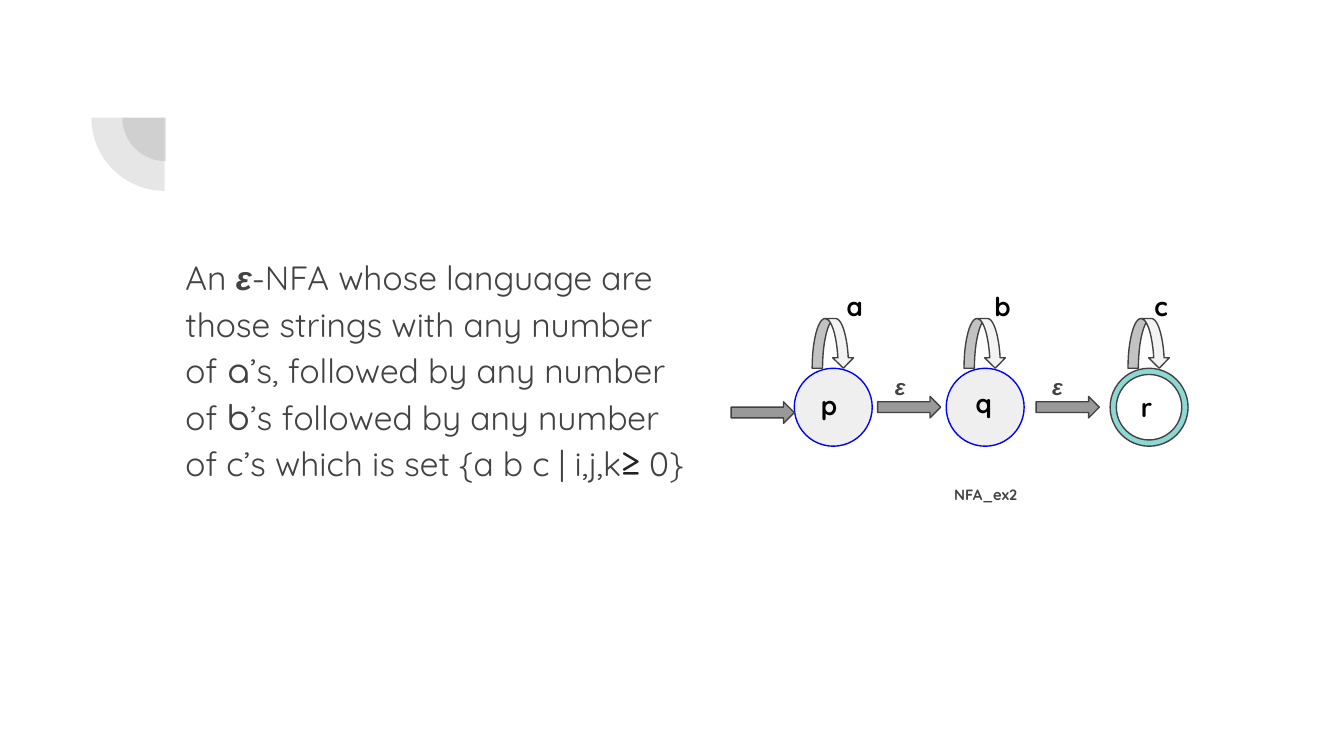
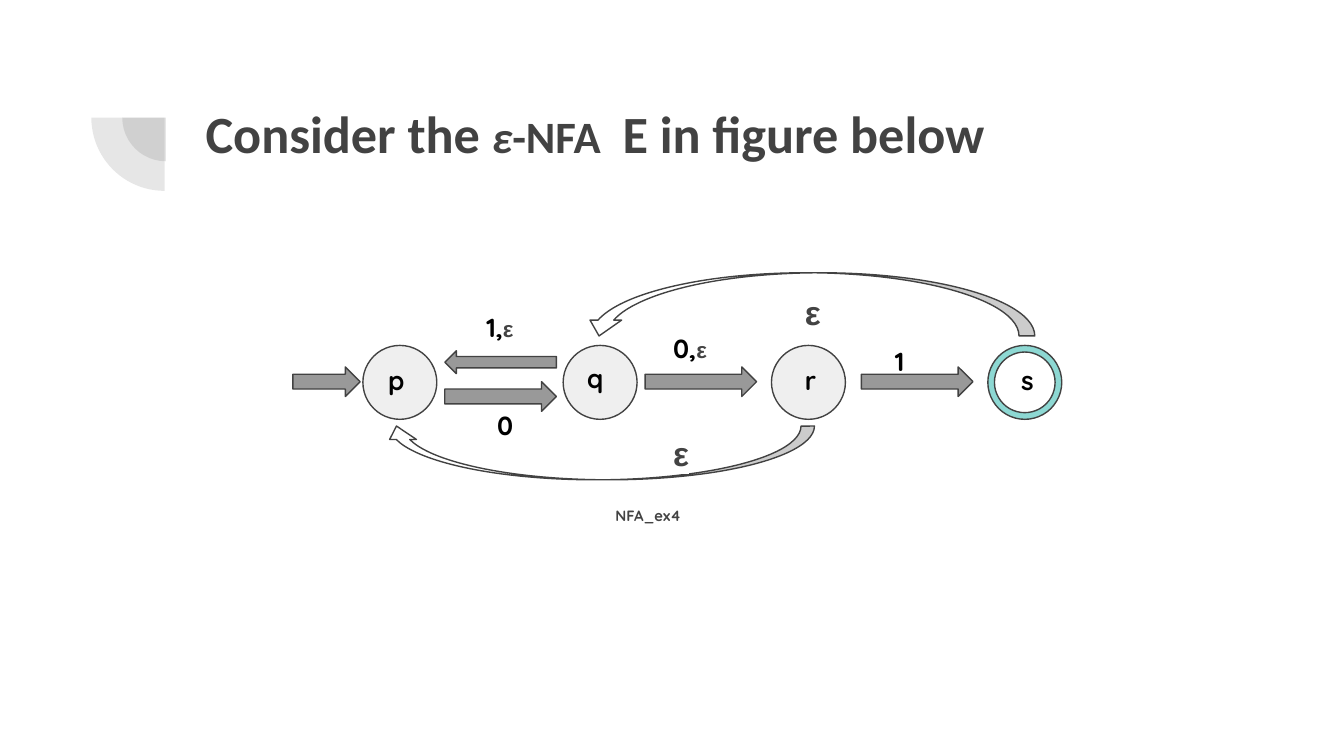
"""Two slides of epsilon-NFA state diagrams."""
from dataclasses import dataclass
from typing import NamedTuple

from lxml import etree
from pptx import Presentation, util as u
from pptx.dml.color import RGBColor
from pptx.enum import shapes as kinds, text as layout_text
from pptx.oxml.ns import qn

COLUMNS, ROWS = 100, 56.25
CELL = u.Inches(0.1)
SHAPE = kinds.MSO_SHAPE

INK, SOFT, BLACK, WHITE = "424242", "434343", "000000", "FFFFFF"
PALE, GREY, TEAL, BLUE = "EFEFEF", "999999", "8DD8D3", "0000FF"
LOOP_FILL = "F3F3F3"


class Area(NamedTuple):
    """Left, top, width and height in grid cells."""
    left: float
    top: float
    width: float
    height: float

    def emu(self) -> list[int]:
        return [round(CELL * side) for side in self]


@dataclass(frozen=True)
class Style:
    size: float
    name: str = "Quicksand"
    color: str = INK
    bold: bool = False
    italic: bool = False
    highlight: str = ""


class Span(NamedTuple):
    words: str
    style: Style


class State(NamedTuple):
    """A circle; shift is the offset of its letter box."""
    letter: str
    column: float
    shift: tuple[float, float]
    final: bool = False


class Arrow(NamedTuple):
    area: Area
    shape: kinds.MSO_SHAPE = SHAPE.RIGHT_ARROW
    fill: str = GREY
    turn: int = 0
    mirrored: bool = False


class Label(NamedTuple):
    area: Area
    spans: list[Span]
    spaced: bool = False


# Text styles
LETTER = Style(14, color=BLACK, bold=True)
CAPTION = Style(8, color=SOFT, bold=True)
EPSILON = Style(12, "Arial", SOFT, bold=True, highlight=WHITE)
EPSILON_ITALIC = Style(12, "Arial", SOFT, True, True, WHITE)
EPSILON_LARGE = Style(18, "Arial", SOFT, bold=True, highlight=WHITE)
BODY = Style(18)
BODY_ROUND = Style(18, "Comfortaa")
BODY_EPSILON = Style(18, "Arial", SOFT, True, True, WHITE)
BODY_SIGN = Style(18, "Comfortaa", "222222", highlight=WHITE)
TITLE = Style(28, "Calibri", bold=True)
TITLE_SMALL = Style(24, "Calibri", bold=True)
TITLE_EPSILON = Style(24, "Calibri", SOFT, True, True, WHITE)


def rgb(color: str) -> RGBColor:
    return RGBColor.from_string(color)


# Text
def add_span(para, span: Span) -> None:
    run = para.add_run()
    run.text = span.words
    style = span.style
    formats = {"size": u.Pt(style.size), "name": style.name,
               "bold": style.bold, "italic": style.italic}
    for key, value in formats.items():
        setattr(run.font, key, value)
    run.font.color.rgb = rgb(style.color)
    if style.highlight:
        mark = etree.Element(qn("a:highlight"))
        etree.SubElement(mark, qn("a:srgbClr"), val=style.highlight)
        run.font._element.find(qn("a:solidFill")).addnext(mark)


def fill_text(box, area: Area, spans: list[Span], spaced: bool = False) -> None:
    box.left, box.top, box.width, box.height = area.emu()
    frame = box.text_frame
    margin = u.Inches(0.1)
    formats = {"word_wrap": True, "auto_size": layout_text.MSO_AUTO_SIZE.NONE,
               "vertical_anchor": layout_text.MSO_ANCHOR.TOP,
               "margin_left": margin, "margin_right": margin,
               "margin_top": margin, "margin_bottom": margin}
    for key, value in formats.items():
        setattr(frame, key, value)
    para = frame.paragraphs[0]
    para.alignment = layout_text.PP_ALIGN.LEFT
    para.space_before = u.Pt(0)
    if spaced:
        para.line_spacing, para.space_after = 1.15, u.Pt(16)
    for span in spans:
        add_span(para, span)


def add_label(page, label: Label) -> None:
    box = page.shapes.add_textbox(*label.area.emu())
    fill_text(box, label.area, label.spans, label.spaced)


# Shapes
def add_figure(page, kind, area: Area, fill: str, line: str = INK):
    figure = page.shapes.add_shape(kind, *area.emu())
    figure.shadow.inherit = False
    figure.fill.solid()
    figure.fill.fore_color.rgb = rgb(fill)
    if line:
        figure.line.color.rgb = rgb(line)
        figure.line.width = u.Pt(0.75)
    else:
        figure.line.fill.background()
    return figure


def add_state(page, state: State, row: float, size: float, ring: float,
              line: str, letter_box: tuple[float, float]) -> None:
    area = Area(state.column, row, size, size)
    if state.final:
        circle = add_figure(page, SHAPE.DONUT, area, TEAL)
        circle.adjustments[0] = ring
    else:
        add_figure(page, SHAPE.OVAL, area, PALE, line)
    right, down = state.shift
    add_label(page, Label(Area(state.column + right, row + down, *letter_box),
                          [Span(state.letter, LETTER)]))


def add_arrow(page, arrow: Arrow) -> None:
    figure = add_figure(page, arrow.shape, arrow.area, arrow.fill)
    figure.rotation = arrow.turn
    if arrow.mirrored:
        figure.element.spPr.find(qn("a:xfrm")).set("flipH", "1")


def add_corner_to_master(deck, page) -> None:
    """Two translucent quarter circles, shared by all slides."""
    tree = deck.slide_master.shapes.element
    corner = (Area(9.1, 5.5, 6.5, 6.5), Area(6.8, 3.3, 10.9, 10.9))
    for number, area in enumerate(corner):
        pie = add_figure(page, SHAPE.PIE, area, INK, line="")
        pie.rotation = 270
        pie.adjustments[0], pie.adjustments[1] = 108, 162
        color = pie.element.spPr.find(qn("a:solidFill"))[0]
        etree.SubElement(color, qn("a:alpha"), val="13000")
        pie.element.nvSpPr.cNvPr.set("id", str(100 + number))
        tree.insert(2 + number, pie.element)


def remove(box) -> None:
    box.element.getparent().remove(box.element)


# Slide 1: three loops in a row
def build_loops(page) -> None:
    remove(page.shapes.title)
    body = page.placeholders[1]
    fill_text(body, Area(12.8, 17.7, 39.7, 22.1), [
        Span("An ", BODY), Span("ε", BODY_EPSILON),
        Span("-NFA whose language are those strings with any number of", BODY),
        Span(" a", BODY_ROUND),
        Span("’s, followed by any number of ", BODY),
        Span("b", BODY_ROUND),
        Span("’s followed by any number of c’s which is set {a b c | i,j,k", BODY),
        Span("≥", BODY_SIGN), Span(" 0}", BODY)], spaced=True)
    properties = body.text_frame.paragraphs[0]._p.get_or_add_pPr()
    properties.set("marL", "0")
    properties.set("indent", "0")
    etree.SubElement(properties, qn("a:buNone"))

    small_box = (5.5, 3.7)
    states = [State("p", 59.1, (1, 0.6)), State("q", 70.4, (1.2, 0.4)),
              State("r", 82.6, (1.3, 0.7), final=True)]
    for state in states:
        add_state(page, state, 27.4, 5.8, 0.08, BLUE, small_box)
    for left, top in ((54.4, 29.9), (65.3, 29.5), (77.1, 29.5)):
        add_arrow(page, Arrow(Area(left, top, 4.7, 1.6)))
    for state, symbol, column in zip(states, "abc", (62, 73, 84.9)):
        add_arrow(page, Arrow(Area(state.column + 1.33, 23.7, 3.1, 3.7),
                              SHAPE.CURVED_DOWN_ARROW, LOOP_FILL))
        add_label(page, Label(Area(column, 20.6, *small_box),
                              [Span(symbol, LETTER)]))
    for column in (65.6, 77.3):
        add_label(page, Label(Area(column, 26.5, 5.5, 3.1),
                              [Span("ε", EPSILON_ITALIC)], spaced=True))
    add_label(page, Label(Area(70, 35.1, 11.5, 4.3), [Span("NFA_ex2", CAPTION)]))


# Slide 2: four states with two curved returns
def build_returns(page) -> None:
    remove(page.placeholders[1])
    fill_text(page.shapes.title, Area(14.3, 6.5, 76.9, 10.9), [
        Span("Consider the ", TITLE), Span("ε", TITLE_EPSILON),
        Span("-NFA ", TITLE_SMALL), Span(" E in figure below", TITLE)])

    states = [State("p", 27, (0.9, 0.4)), State("q", 41.9, (0.8, 0.3)),
              State("r", 57.4, (1.5, 0.4)),
              State("s", 73.5, (1.5, 0.4), final=True)]
    for state in states:
        add_state(page, state, 25.7, 5.5, 0.09, INK, (4, 4.7))

    curve = SHAPE.CURVED_DOWN_ARROW
    arrows = [Arrow(Area(21.8, 27.3, 5, 2.2)),
              Arrow(Area(33.1, 28.4, 8.3, 2.2)),
              Arrow(Area(48, 27.3, 8.3, 2.2)),
              Arrow(Area(64.1, 27.3, 8.3, 2.2)),
              Arrow(Area(33.1, 26.1, 8.3, 1.7), turn=180),
              Arrow(Area(43.4, 20.3, 33.6, 4.7), curve, WHITE, mirrored=True),
              Arrow(Area(28.5, 31.7, 32.1, 4), curve, WHITE, turn=180)]
    for arrow in arrows:
        add_arrow(page, arrow)

    plain = Style(12, "Arial", SOFT, True, highlight=WHITE)
    for symbol, epsilon, column, row in (("1,", "ε", 35.2, 22.2), ("0", "", 36, 29.5),
                                         ("0,", "ε", 49.1, 23.7), ("1", "", 65.6, 24.7)):
        spans = [Span(symbol, LETTER)]
        if epsilon:
            spans.append(Span(epsilon, EPSILON))
        add_label(page, Label(Area(column, row, 6.7, 4.7), spans))
    for column, row in ((58.9, 20.3), (49.1, 30.8)):
        add_label(page, Label(Area(column, row, 6.7, 3.6),
                              [Span("ε", EPSILON_LARGE)], spaced=True))
    add_label(page, Label(Area(44.8, 36.7, 11.5, 4.3), [Span("NFA_ex4", CAPTION)]))


def main() -> None:
    deck = Presentation()
    deck.slide_width, deck.slide_height = round(CELL * COLUMNS), round(CELL * ROWS)
    pages = [deck.slides.add_slide(deck.slide_layouts[1]) for _ in range(2)]
    add_corner_to_master(deck, pages[0])
    for build, page in zip((build_loops, build_returns), pages):
        build(page)
    deck.save("out.pptx")


if __name__ == "__main__":
    main()
